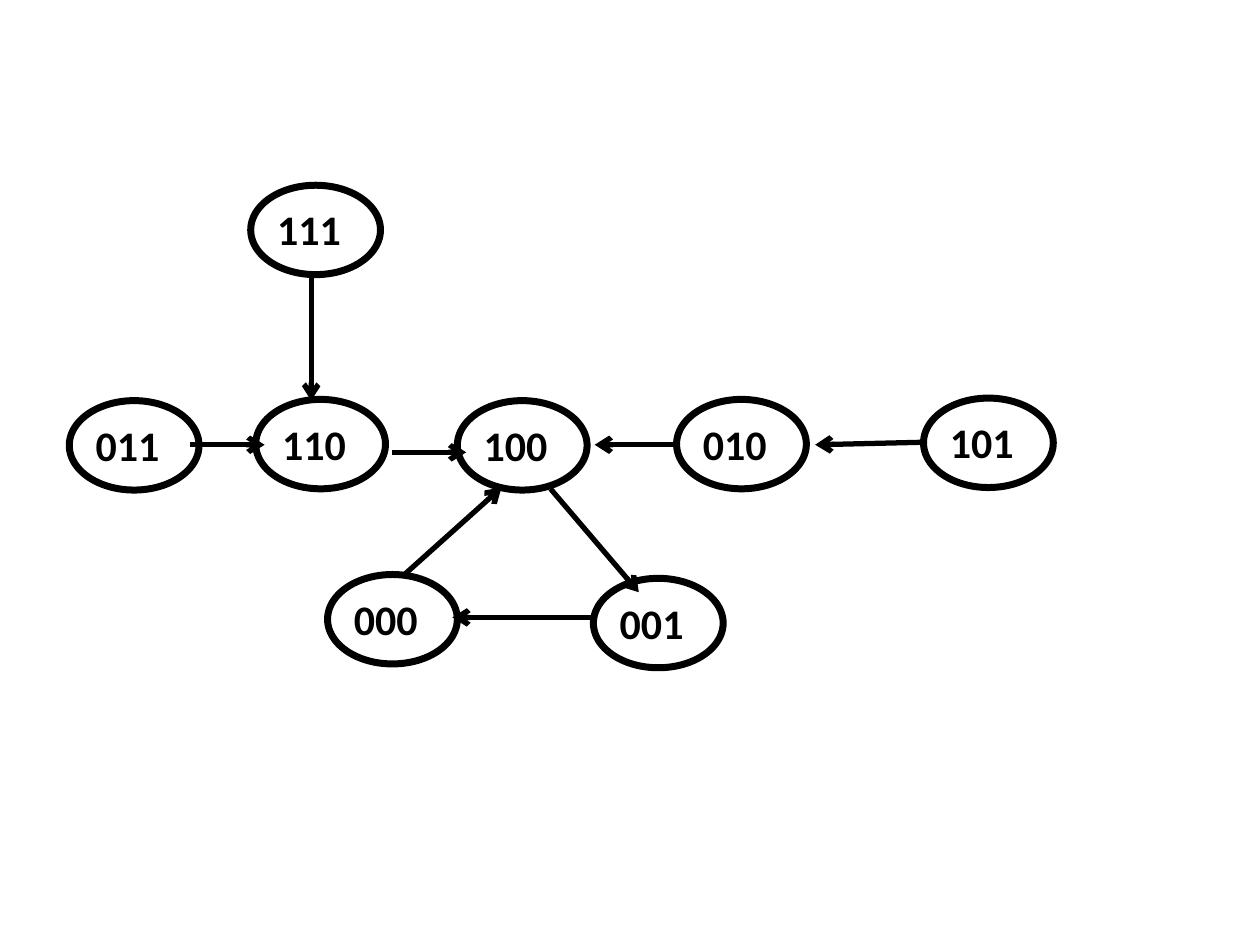
from lxml.etree import SubElement as Sub
from pptx import Presentation
from pptx.dml.color import RGBColor as Rgb
from pptx.enum.shapes import MSO_CONNECTOR as Link, MSO_SHAPE as Form
from pptx.enum.text import MSO_AUTO_SIZE as Fit
from pptx.oxml.ns import qn
from pptx.util import Inches, Pt

HUES = {"ink": "000000", "back": "FFFFFF"}
NODES = {
    "011": (0.55, 3.18),
    "001": (4.71, 4.59),
    "110": (2.03, 3.17),
    "111": (1.99, 1.47),
    "100": (3.63, 3.18),
    "010": (5.37, 3.17),
    "101": (7.33, 3.16),
    "000": (2.6, 4.56),
}
EDGES = [
    ((1.51, 3.53), (2.1, 3.53)),
    ((2.47, 2.17), (2.47, 3.18)),
    ((3.11, 3.59), (3.7, 3.59)),
    ((5.37, 3.53), (4.72, 3.53)),
    ((7.33, 3.51), (6.47, 3.53)),
    ((4.37, 3.88), (5.07, 4.7)),
    ((4.7, 4.9), (3.59, 4.9)),
    ((3.21, 4.56), (3.98, 3.87)),
]


def hue(name):
    """Return the named colour."""
    return Rgb.from_string(HUES[name])


def write(slide, text, box, size=24, bold=True, face="Calibri", ink="ink"):
    """Add a text box with one formatted run."""
    frame = slide.shapes.add_textbox(*map(Inches, box)).text_frame
    frame.word_wrap = True
    frame.auto_size = Fit.SHAPE_TO_FIT_TEXT
    run = frame.paragraphs[0].add_run()
    run.text = text
    font = run.font
    font.size, font.bold, font.name = Pt(size), bold, face
    font.color.rgb = hue(ink)


def add_node(slide, label, box):
    """Draw a state as a ring with its label inside the box."""
    left, top, wide, high = box
    ring = slide.shapes.add_shape(Form.OVAL, *map(Inches, box))
    ring.shadow.inherit = False
    ring.fill.background()
    ring.line.color.rgb = hue("ink")
    ring.line.width = Pt(4)
    write(slide, label, (left + 0.11, top + 0.1, wide - 0.05, 0.5))


def add_edge(slide, start, end):
    """Draw an arrow from start to end."""
    edge = slide.shapes.add_connector(Link.STRAIGHT, *map(Inches, start + end))
    edge.line.color.rgb = hue("ink")
    edge.line.width = Pt(3)
    Sub(edge.line._get_or_add_ln(), qn("a:tailEnd"), type="arrow")
    Sub(edge._element.spPr, qn("a:effectLst"))


def add_graph(slide, box):
    """Place the state graph relative to the box."""
    left, top = box[:2]
    for label, (x, y) in NODES.items():
        add_node(slide, label, (left + x, top + y, 1.03, 0.71))
    for ends in EDGES:
        add_edge(slide, *((left + x, top + y) for x, y in ends))


def main():
    """Build and save the slide."""
    deck = Presentation()
    deck.slide_width, deck.slide_height = Inches(10), Inches(7.5)
    slide = deck.slides.add_slide(deck.slide_layouts[6])
    fill = slide.background.fill
    fill.solid()
    fill.fore_color.rgb = hue("back")
    add_graph(slide, (0, 0, 10, 7.5))
    deck.save("out.pptx")


if __name__ == "__main__":
    main()
